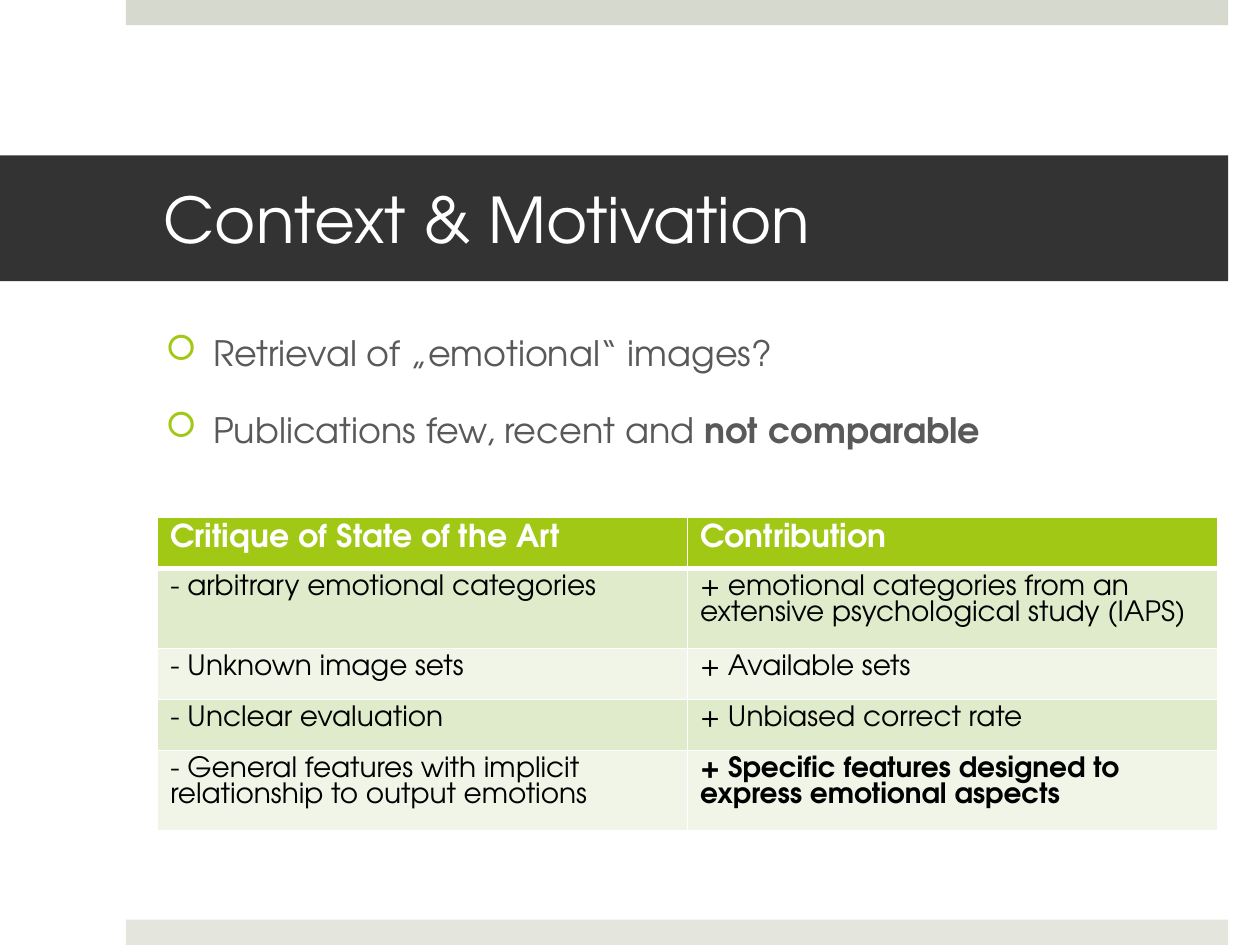
import pptx
import pptx.util
import pptx.dml.color
import pptx.enum.shapes
import pptx.enum.text
import pptx.oxml
import pptx.oxml.ns

Cm = pptx.util.Cm
Pt = pptx.util.Pt
FONT = "TeX Gyre Adventor"
NS = pptx.oxml.ns.nsdecls("a")


def hue(code):
    return pptx.dml.color.RGBColor.from_string(code)


def write(para, text, size=16, color="000000", bold=False):
    run = para.add_run()
    run.text = text
    run.font.name = FONT
    run.font.size = Pt(size)
    run.font.bold = bold
    run.font.color.rgb = hue(color)


deck = pptx.Presentation()
deck.slide_width, deck.slide_height = Cm(25.4), Cm(19.05)
slide = deck.slides.add_slide(deck.slide_layouts[5])

for top, color in [(0, "D6D9CD"), (18.54, "E4E6DE")]:
    bar = slide.shapes.add_shape(
        pptx.enum.shapes.MSO_SHAPE.RECTANGLE, Cm(2.54), Cm(top), Cm(22.22), Cm(0.51))
    bar.shadow.inherit = False
    bar.fill.solid()
    bar.fill.fore_color.rgb = hue(color)
    bar.line.fill.background()

title = slide.shapes.title
title.left, title.top, title.width, title.height = Cm(0), Cm(3.13), Cm(24.76), Cm(2.54)
title.fill.solid()
title.fill.fore_color.rgb = hue("333333")
frame = title.text_frame
frame.margin_left, frame.margin_right = Cm(3.3), Cm(0.76)
frame.margin_top = frame.margin_bottom = Cm(0.13)
frame.vertical_anchor = pptx.enum.text.MSO_ANCHOR.MIDDLE
frame.paragraphs[0].alignment = pptx.enum.text.PP_ALIGN.LEFT
write(frame.paragraphs[0], "Context & Motivation", size=36, color="FFFFFF")

body = slide.shapes.add_textbox(Cm(3.09), Cm(6.55), Cm(21.13), Cm(3.81)).text_frame
body.word_wrap = True
points = [
    [("Retrieval of „emotional“ images?", False)],
    [("Publications few, recent and ", False), ("not comparable", True)],
]
for i, parts in enumerate(points):
    para = body.add_paragraph() if i else body.paragraphs[0]
    props = para._p.get_or_add_pPr()
    props.set("marL", str(Cm(0.96)))
    props.set("indent", str(-Cm(0.96)))
    for mark in [
        f'<a:buClr {NS}><a:srgbClr val="A2C816"/></a:buClr>',
        f'<a:buFont {NS} typeface="Wingdings" charset="2"/>',
        f'<a:buChar {NS} char="□"/>',
    ]:
        props.append(pptx.oxml.parse_xml(mark))
    if i:
        para.space_before = Pt(20)
    for text, bold in parts:
        write(para, text, size=20, color="595959", bold=bold)

rows = [
    ("Critique of State of the Art", "Contribution"),
    ("- arbitrary emotional categories",
     "+ emotional categories from an extensive psychological study (IAPS)"),
    ("- Unknown image sets", "+ Available sets"),
    ("- Unclear evaluation", "+ Unbiased correct rate"),
    ("- General features with implicit relationship to output emotions",
     "+ Specific features designed to express emotional aspects"),
]
grid = slide.shapes.add_table(
    len(rows), 2, Cm(3.18), Cm(10.43), Cm(21.36), Cm(5.15)).table
for row in grid.rows:
    row.height = Cm(1.03)
for r, texts in enumerate(rows):
    for c, text in enumerate(texts):
        cell = grid.cell(r, c)
        props = cell._tc.get_or_add_tcPr()
        for side in "LRTB":
            thick = 3 if (r, side) in [(0, "B"), (1, "T")] else 1
            props.append(pptx.oxml.parse_xml(
                f'<a:ln{side} {NS} w="{Pt(thick)}"><a:solidFill>'
                f'<a:srgbClr val="FFFFFF"/></a:solidFill></a:ln{side}>'))
        cell.fill.solid()
        para = cell.text_frame.paragraphs[0]
        if r == 0:
            cell.fill.fore_color.rgb = hue("A2C816")
            write(para, text, size=18, color="FFFFFF", bold=True)
        else:
            cell.fill.fore_color.rgb = hue("E0EBCC" if r % 2 else "F0F5E7")
            write(para, text, bold=(r, c) == (4, 1))

deck.save("out.pptx")
